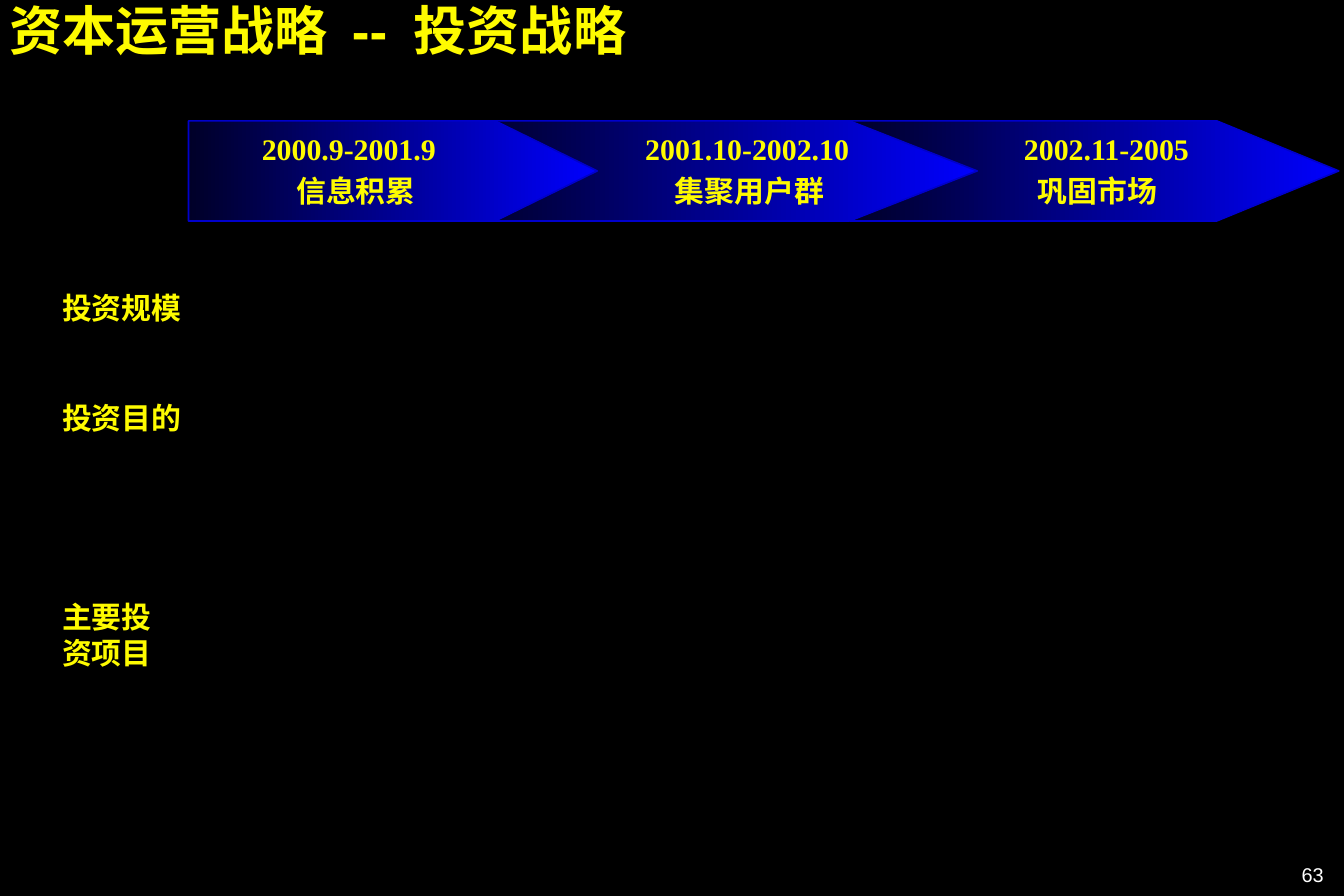
from pptx import Presentation
from pptx.dml.color import RGBColor
from pptx.enum import shapes, text
from pptx.util import Cm, Pt

BLACK = RGBColor(0x00, 0x00, 0x00)
WHITE = RGBColor(0xFF, 0xFF, 0xFF)
YELLOW = RGBColor(0xFE, 0xFB, 0x00)
BRIGHT_BLUE = RGBColor(0x00, 0x00, 0xFE)
DARK_BLUE = RGBColor(0x00, 0x00, 0x28)
EDGE_BLUE = RGBColor(0x00, 0x00, 0xCC)

ARROW_TOP, ARROW_HEIGHT = 2.57, 2.13
LINE_HEIGHT = 1.02

# left, width, period, period centre, goal, goal centre
PHASES = [
    (4.01, 8.69, "2000.9-2001.9", 7.42, "信息积累", 7.57),
    (9.91, 10.87, "2001.10-2002.10", 15.89, "集聚用户群", 15.94),
    (18.08, 10.39, "2002.11-2005", 23.53, "巩固市场", 23.34),
]
ROW_LABELS = [
    ("投资规模", 6.02, 3.61, LINE_HEIGHT),
    ("投资目的", 8.36, 3.61, LINE_HEIGHT),
    ("主要投资项目", 12.6, 2.74, 1.78),
]


def add_text(slide, box, runs, size=18, font="Times New Roman", color=YELLOW,
             bold=True, align=text.PP_ALIGN.LEFT, inset=(0.25, 0.13),
             anchor=text.MSO_ANCHOR.MIDDLE):
    """Add a one-paragraph text box and return its paragraph."""
    frame = slide.shapes.add_textbox(*map(Cm, box)).text_frame
    frame.word_wrap = True
    frame.vertical_anchor = anchor
    frame.margin_left = frame.margin_right = Cm(inset[0])
    frame.margin_top = frame.margin_bottom = Cm(inset[1])
    paragraph = frame.paragraphs[0]
    paragraph.alignment = align
    for words in runs:
        paragraph.add_run().text = words
    paragraph.font.size = Pt(size)
    paragraph.font.name = font
    paragraph.font.bold = bold
    paragraph.font.color.rgb = color
    return paragraph


def add_title(slide):
    """Add the heading with widened gaps around its dash."""
    paragraph = add_text(
        slide, (0.2, 0.1, 28.37, 1.22),
        ["资本运营战略", " ", "--", " ", "投资战略"], size=32, font="Arial",
        inset=(0, 0), anchor=text.MSO_ANCHOR.TOP)
    paragraph.line_spacing = 0.9
    for run in paragraph.runs:
        if run.text == " ":
            run.font._element.set("spc", "700")


def add_arrow(slide, left, width):
    """Add a gradient phase arrow whose tip takes a quarter of its width."""
    shape = slide.shapes.add_shape(
        shapes.MSO_SHAPE.PENTAGON,
        Cm(left), Cm(ARROW_TOP), Cm(width), Cm(ARROW_HEIGHT))
    shape.adjustments[0] = width / 4 / ARROW_HEIGHT
    shape.shadow.inherit = False
    shape.fill.gradient()
    shape.fill.gradient_angle = 180
    for stop, color in zip(shape.fill.gradient_stops, (BRIGHT_BLUE, DARK_BLUE)):
        stop.color.rgb = color
    shape.line.color.rgb = EDGE_BLUE
    shape.line.width = Pt(1)


def add_centred(slide, words, centre, top, width):
    """Add one line of phase text centred on a given position."""
    add_text(slide, (centre - width / 2, top, width, LINE_HEIGHT), [words],
             align=text.PP_ALIGN.CENTER)


def main():
    """Build the investment strategy slide."""
    presentation = Presentation()
    presentation.slide_width = Cm(28.58)
    presentation.slide_height = Cm(19.05)
    slide = presentation.slides.add_slide(presentation.slide_layouts[6])
    slide.background.fill.solid()
    slide.background.fill.fore_color.rgb = BLACK

    add_title(slide)
    for words, top, width, height in ROW_LABELS:
        add_text(slide, (1.07, top, width, height), [words])
    for left, width, *_ in reversed(PHASES):
        add_arrow(slide, left, width)
    for _, _, period, period_centre, goal, goal_centre in PHASES:
        add_centred(slide, period, period_centre, 2.64, 5.1)
        add_centred(slide, goal, goal_centre, 3.53, 4)
    add_text(slide, (22.23, 18.34, 5.92, 0.51), ["63"], size=12, font="Arial",
             color=WHITE, bold=False, align=text.PP_ALIGN.RIGHT,
             inset=(0, 0), anchor=text.MSO_ANCHOR.TOP)
    presentation.save("out.pptx")


if __name__ == "__main__":
    main()
